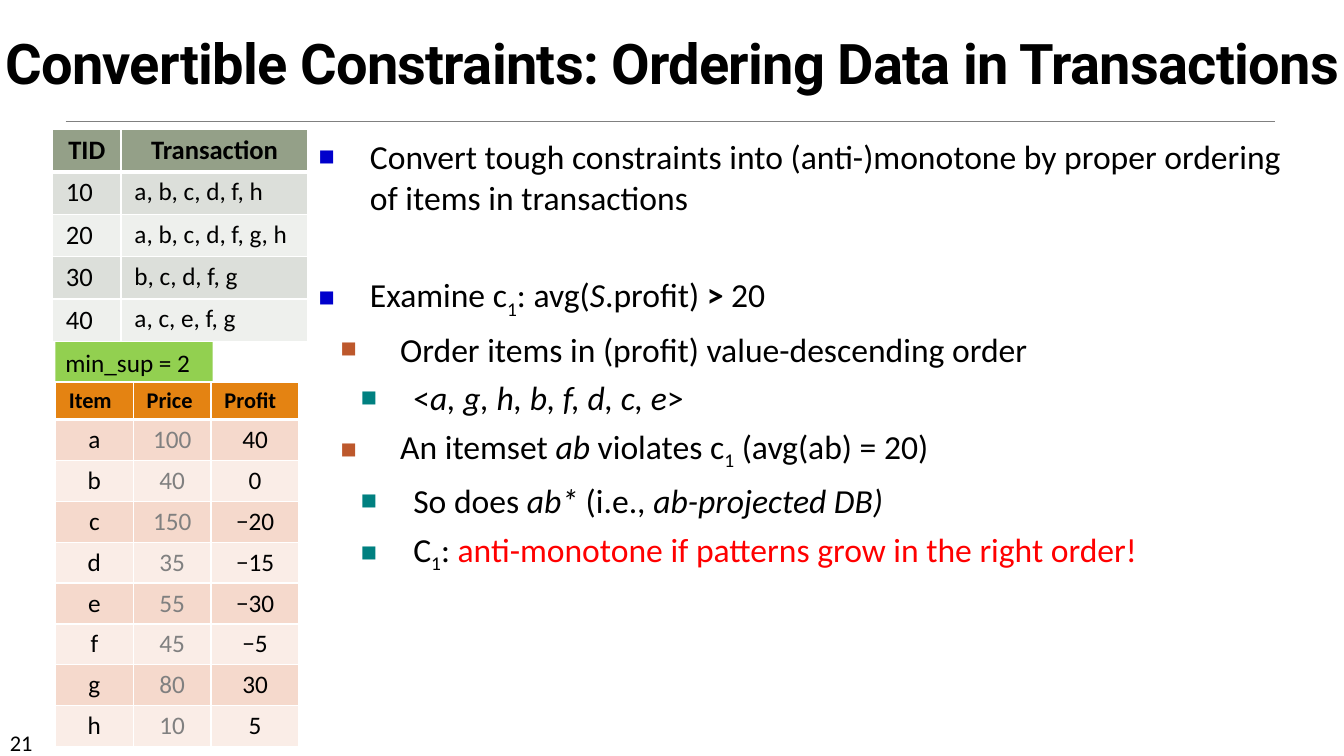
from dataclasses import dataclass

from lxml import etree
from pptx import Presentation
from pptx import util as u
from pptx.dml.color import RGBColor
from pptx.enum import shapes, text
from pptx.oxml import ns


@dataclass(frozen=True)
class Theme:
    """Colours, fonts and type sizes of the slide."""
    ink: str = "000000"
    muted: str = "808080"
    alert: str = "FF0000"
    white: str = "FFFFFF"
    badge: str = "92D050"
    bullets: tuple = ("0000CC", "BD582C", "008080")
    sage: tuple = ("94A088", "DCDFDA", "EEF0ED")
    orange: tuple = ("E48312", "F5D9CC", "FAEDE7")
    heading_font: str = "Roboto"
    body_font: str = "Calibri"
    title: float = 40
    body: float = 24
    tid: float = 19
    cell: float = 18
    small: float = 16


THEME = Theme()
LEFT, CENTER = text.PP_ALIGN.LEFT, text.PP_ALIGN.CENTER
INDENTS = ((36.7, -36.7), (58.3, -42.5), (67.7, -37.4))

POINTS = [
    (0, 0, [("Convert tough constraints into (anti-)monotone by proper ordering "
             "of items in transactions", "")]),
    (0, 41, [("Examine c", ""), ("1", "sub"), (": avg(", ""), ("S", "i"),
             (".profit) ", ""), (">", "b"), (" 20", "")]),
    (1, 6, [("Order items in (profit) value-descending order", "")]),
    (2, 6, [("<", ""), ("a, g, h, b, f, d, c, e", "i"), (">", "")]),
    (1, 6, [("An itemset ", ""), ("ab", "i"), (" violates c", ""), ("1", "sub"),
            (" (avg(ab) = 20)", "")]),
    (2, 6, [("So does ", ""), ("ab*", "i"), (" (i.e., ", ""),
            ("ab-projected DB)", "i")]),
    (2, 6, [("C", ""), ("1", "sub"), (": ", ""),
            ("anti-monotone if patterns grow in the right order!", "alert")]),
]
TRANSACTIONS = [
    ("TID", "Transaction"), ("10", "a, b, c, d, f, h"),
    ("20", "a, b, c, d, f, g, h"), ("30", "b, c, d, f, g"),
    ("40", "a, c, e, f, g"),
]
PROFITS = [
    ("Item", "Price", "Profit"), ("a", "100", "40"), ("b", "40", "0"),
    ("c", "150", "−20"), ("d", "35", "−15"), ("e", "55", "−30"),
    ("f", "45", "−5"), ("g", "80", "30"), ("h", "10", "5"),
]


def add_run(paragraph, words, size, color=THEME.ink, bold=False, font=THEME.body_font):
    """Append one formatted run and return it."""
    run = paragraph.add_run()
    run.text = words
    run.font.name, run.font.size, run.font.bold = font, u.Pt(size), bold
    run.font.color.rgb = RGBColor.from_string(color)
    return run


def place(part, box):
    """Move a part to a box of left, top, width and height."""
    part.left, part.top, part.width, part.height = map(u.Pt, box)


def add_title(slide, box, words):
    """Fill the title placeholder and draw the rule beneath it."""
    title = slide.shapes.title
    place(title, box)
    frame = title.text_frame
    frame.auto_size = text.MSO_AUTO_SIZE.NONE
    frame.vertical_anchor = text.MSO_ANCHOR.BOTTOM
    heading = frame.paragraphs[0]
    heading.alignment, heading.line_spacing = CENTER, 0.85
    run = add_run(heading, words, THEME.title, bold=True, font=THEME.heading_font)
    run.font._element.set("spc", "-50")
    left, top, width, height = box
    rule_y, inset = u.Pt(top + height + 14.4), 78.5
    rule = slide.shapes.add_connector(
        shapes.MSO_CONNECTOR.STRAIGHT, u.Pt(left + inset), rule_y,
        u.Pt(left + width - inset - 2.6), rule_y)
    rule.line.color.rgb = RGBColor.from_string(THEME.muted)
    rule.line.width = u.Pt(0.5)
    etree.SubElement(rule._element.spPr, ns.qn("a:effectLst"))


def add_bullet(paragraph, level):
    """Give a paragraph the indent and square bullet of its level."""
    properties = paragraph._p.get_or_add_pPr()
    margin, indent = INDENTS[level]
    properties.set("marL", str(u.Pt(margin)))
    properties.set("indent", str(u.Pt(indent)))
    color = etree.SubElement(properties, ns.qn("a:buClr"))
    etree.SubElement(color, ns.qn("a:srgbClr"), val=THEME.bullets[level])
    etree.SubElement(properties, ns.qn("a:buSzPct"), val="80000")
    etree.SubElement(properties, ns.qn("a:buChar"), char="■")


def add_points(slide, box, points):
    """Fill the body placeholder with the bulleted argument."""
    body = slide.placeholders[1]
    place(body, box)
    frame = body.text_frame
    frame.auto_size = text.MSO_AUTO_SIZE.NONE
    for number, (level, gap, pieces) in enumerate(points):
        point = frame.add_paragraph() if number else frame.paragraphs[0]
        point.level = level
        add_bullet(point, level)
        point.space_before = u.Pt(gap)
        for words, style in pieces:
            color = THEME.alert if style == "alert" else THEME.ink
            run = add_run(point, words, THEME.body, color, style == "b")
            run.font.italic = style == "i"
            if style == "sub":
                run.font._element.set("baseline", "-25000")


def add_borders(cell, row):
    """Draw white cell edges, thicker beneath the header row."""
    properties = cell._tc.get_or_add_tcPr()
    widths = {"L": 1, "R": 1, "T": 3 if row == 1 else 1, "B": 1 if row else 3}
    for side, width in widths.items():
        edge = etree.SubElement(properties, ns.qn(f"a:ln{side}"), w=str(u.Pt(width)))
        fill = etree.SubElement(edge, ns.qn("a:solidFill"))
        etree.SubElement(fill, ns.qn("a:srgbClr"), val=THEME.white)


def add_grid(slide, box, records, widths, header_height, palette, header, columns):
    """Draw a banded table; header and columns hold alignment, size and colour."""
    left, top, width, height = map(u.Pt, box)
    grid = slide.shapes.add_table(
        len(records), len(widths), left, top, width, height).table
    for column, column_width in zip(grid.columns, widths):
        column.width = u.Pt(column_width)
    row_height = (box[3] - header_height) / (len(records) - 1)
    for r, record in enumerate(records):
        grid.rows[r].height = u.Pt(row_height if r else header_height)
        for c, words in enumerate(record):
            cell = grid.cell(r, c)
            add_borders(cell, r)
            cell.fill.solid()
            shade = palette[2 - r % 2] if r else palette[0]
            cell.fill.fore_color.rgb = RGBColor.from_string(shade)
            cell.margin_left = cell.margin_right = u.Pt(9.6)
            alignment, size, color = columns[c] if r else header
            entry = cell.text_frame.paragraphs[0]
            entry.alignment = alignment
            add_run(entry, words, size, color, bold=r == 0)


def add_support(slide, box, words):
    """Draw the minimum support badge."""
    badge = slide.shapes.add_shape(shapes.MSO_SHAPE.RECTANGLE, *map(u.Pt, box))
    badge.shadow.inherit = False
    badge.fill.solid()
    badge.fill.fore_color.rgb = RGBColor.from_string(THEME.badge)
    badge.line.fill.background()
    label = badge.text_frame.paragraphs[0]
    label.alignment = LEFT
    add_run(label, words, THEME.cell)


def add_page_number(slide, box, number):
    """Write the page number in the corner."""
    corner = slide.shapes.add_textbox(*map(u.Pt, box)).text_frame
    corner.word_wrap = True
    add_run(corner.paragraphs[0], number, THEME.small)


def main():
    """Build and save the slide."""
    deck = Presentation()
    deck.slide_width, deck.slide_height = u.Pt(960), u.Pt(540)
    slide = deck.slides.add_slide(deck.slide_layouts[1])
    add_title(slide, (-31.7, 30.2, 1023.8, 41.8),
              "Convertible Constraints: Ordering Data in Transactions")
    add_points(slide, (220.3, 93.6, 722.2, 414), POINTS)
    add_support(slide, (39.6, 244, 112.3, 29), "min_sup = 2")
    add_grid(slide, (37.5, 92.2, 182.5, 150.5), TRANSACTIONS, (49, 133.5), 30.5,
             THEME.sage, (CENTER, THEME.tid, THEME.ink),
             ((LEFT, THEME.tid, THEME.ink), (LEFT, THEME.cell, THEME.ink)))
    plain = (CENTER, THEME.cell, THEME.ink)
    add_grid(slide, (39.6, 272.9, 174, 256.9), PROFITS, (55.6, 55.6, 62.8), 26.5,
             THEME.orange, (LEFT, THEME.small, THEME.ink),
             (plain, (CENTER, THEME.cell, THEME.muted), plain))
    add_page_number(slide, (0, 517, 84, 21.6), "21")
    deck.save("out.pptx")


if __name__ == "__main__":
    main()
